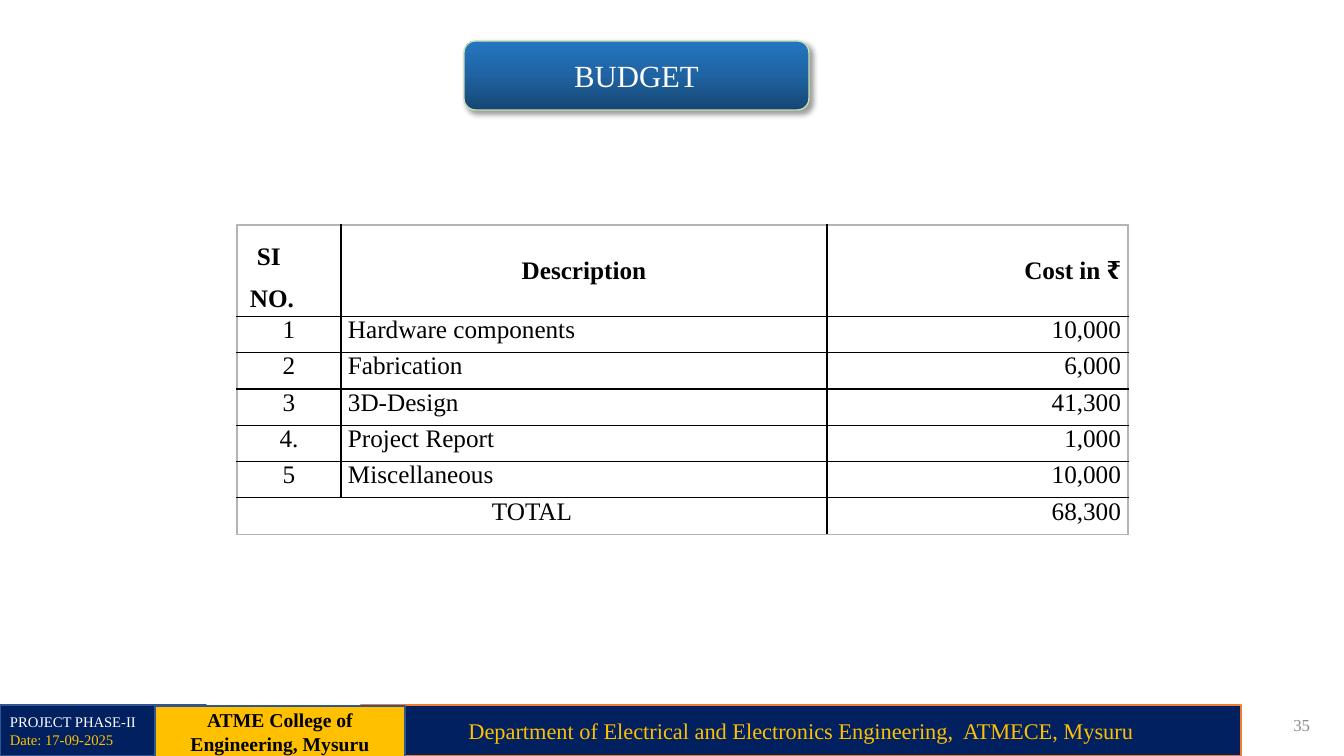
from lxml.etree import SubElement
from pptx import Presentation
from pptx.dml.color import RGBColor
from pptx.enum.shapes import MSO_SHAPE
from pptx.enum.text import MSO_ANCHOR, PP_ALIGN
from pptx.oxml.ns import qn
from pptx.util import Pt

PX = 914400 / 100.8
COLORS = {
    "navy": "002060", "gold": "FFC000", "orange": "ED7D31", "blue": "325491",
    "mint": "C5E0B4", "white": "FFFFFF", "black": "000000",
    "grey": "8C8C8C", "frame": "B4B4B4",
}
BUTTON_STOPS = [(0, "164672"), (50, "1F63A2"), (100, "2476C0")]
COLUMNS = [104, 486, 301]
HEADER_HEIGHT, BODY_HEIGHT = 84, 218
BUDGET = [
    ("SI NO.", "Description", "Cost in ₹"),
    ("1", "Hardware components", "10,000"),
    ("2", "Fabrication", "6,000"),
    ("3", "3D-Design", "41,300"),
    ("4.", "Project Report", "1,000"),
    ("5", "Miscellaneous", "10,000"),
    ("TOTAL", "", "68,300"),
]


def px(length):
    return round(length * PX)


def color(name):
    return RGBColor.from_string(COLORS[name])


def apply(target, values):
    for name, value in values.items():
        setattr(target, name, value)


def write(paragraph, text, size, ink, align=PP_ALIGN.LEFT, bold=False):
    paragraph.alignment = align
    span = paragraph.add_run()
    span.text = text
    apply(span.font, {"name": "Times New Roman", "size": Pt(size), "bold": bold})
    span.font.color.rgb = color(ink)


def write_lines(shape, lines, **style):
    """Each line is (text, size, ink)."""
    frame = shape.text_frame
    apply(frame, {"word_wrap": True, "vertical_anchor": MSO_ANCHOR.MIDDLE})
    for index, line in enumerate(lines):
        paragraph = frame.add_paragraph() if index else frame.paragraphs[0]
        write(paragraph, *line, **style)


def add_panel(page, kind, place, fill, line, lines, **style):
    box = page.shapes.add_shape(kind, *map(px, place))
    box.shadow.inherit = False
    if fill:
        box.fill.solid()
        box.fill.fore_color.rgb = color(fill)
    box.line.color.rgb = color(line)
    box.line.width = Pt(1)
    write_lines(box, lines, **style)
    return box


def add_color(parent, value):
    return SubElement(parent, qn("a:srgbClr"), val=value)


def shade_button(box):
    box.fill.gradient()
    box.fill.gradient_angle = 90
    properties = box.element.spPr
    stops = properties.find(qn("a:gradFill")).find(qn("a:gsLst"))
    for stop in list(stops):
        stops.remove(stop)
    for position, value in BUTTON_STOPS:
        add_color(SubElement(stops, qn("a:gs"), pos=str(position * 1000)), value)
    shadow = SubElement(
        properties.find(qn("a:effectLst")), qn("a:outerShdw"),
        blurRad=str(Pt(4)), dist=str(Pt(3)), dir="2700000", algn="tl", rotWithShape="0")
    SubElement(add_color(shadow, COLORS["black"]), qn("a:alpha"), val="40000")


def set_borders(cell, outer):
    """Outer sides are grey, inner sides black; sides run L, R, T, B."""
    properties = cell._tc.get_or_add_tcPr()
    for index, (side, is_outer) in enumerate(outer.items()):
        line = SubElement(properties, qn("a:ln" + side), w=str(Pt(1)))
        ink = COLORS["frame" if is_outer else "black"]
        add_color(SubElement(line, qn("a:solidFill")), ink)
        properties.insert(index, line)


def fill_cell(cell, text, row, column):
    header, total = row == 0, row == len(BUDGET) - 1
    apply(cell, {"margin_left": 0, "margin_right": 0, "margin_top": 0,
                 "margin_bottom": 0, "vertical_anchor": MSO_ANCHOR.MIDDLE})
    cell.fill.background()
    set_borders(cell, {"L": column == 0, "R": column == len(COLUMNS) - 1,
                       "T": header, "B": total})
    if not text:
        return
    paragraph = cell.text_frame.paragraphs[0]
    align = (PP_ALIGN.CENTER, PP_ALIGN.LEFT, PP_ALIGN.RIGHT)[column]
    if header and column == 0:
        # Hanging number label, wrapped onto two lines
        align = PP_ALIGN.LEFT
        apply(cell, {"margin_left": px(13), "margin_right": px(25)})
        paragraph._p.get_or_add_pPr().set("indent", str(px(7)))
        paragraph.line_spacing = 1.51
    elif header and column == 1:
        align = PP_ALIGN.CENTER
    elif column == 1:
        cell.margin_left = px(7)
    if column == 2:
        cell.margin_right = px(7)
    if not header:
        paragraph.line_spacing = Pt(13.5)
    write(paragraph, text, 18, "black", align, bold=header)


def add_budget(page, left, top):
    frame = page.shapes.add_table(
        len(BUDGET), len(COLUMNS), px(left), px(top),
        px(sum(COLUMNS)), px(HEADER_HEIGHT + BODY_HEIGHT))
    table = frame.table
    apply(table, {"first_row": False, "horz_banding": False})
    for column, width in zip(table.columns, COLUMNS):
        column.width = px(width)
    for index, row in enumerate(table.rows):
        row.height = px(BODY_HEIGHT / (len(BUDGET) - 1) if index else HEADER_HEIGHT)
    last = len(BUDGET) - 1
    table.cell(last, 0).merge(table.cell(last, 1))
    for row, texts in enumerate(BUDGET):
        for column, text in enumerate(texts):
            fill_cell(table.cell(row, column), text, row, column)


def main():
    deck = Presentation()
    apply(deck, {"slide_width": px(1344), "slide_height": px(756)})
    page = deck.slides.add_slide(deck.slide_layouts[6])
    center = {"align": PP_ALIGN.CENTER}

    # Footer
    add_panel(page, MSO_SHAPE.RECTANGLE, (361, 705, 880, 51), "navy", "orange",
              [("Department of Electrical and Electronics Engineering,  ATMECE, Mysuru",
                16, "gold")], **center)
    number = page.shapes.add_textbox(*map(px, (1007, 705, 313, 40)))
    write_lines(number, [("35", 12, "grey")], align=PP_ALIGN.RIGHT)
    add_panel(page, MSO_SHAPE.RECTANGLE, (0, 705, 206, 51), "navy", "blue",
              [("PROJECT PHASE-II", 10.5, "white"), ("Date: 17-09-2025", 10.5, "gold")])
    add_panel(page, MSO_SHAPE.RECTANGLE, (155, 706, 250, 51), "gold", "blue",
              [("ATME College of Engineering, Mysuru", 14, "black")], bold=True, **center)

    # Title button
    title = add_panel(page, MSO_SHAPE.ROUNDED_RECTANGLE, (464, 41, 345, 69), None, "mint",
                      [("BUDGET", 22, "white")], **center)
    shade_button(title)

    # Budget table
    add_budget(page, 237, 225)
    deck.save("out.pptx")


if __name__ == "__main__":
    main()
